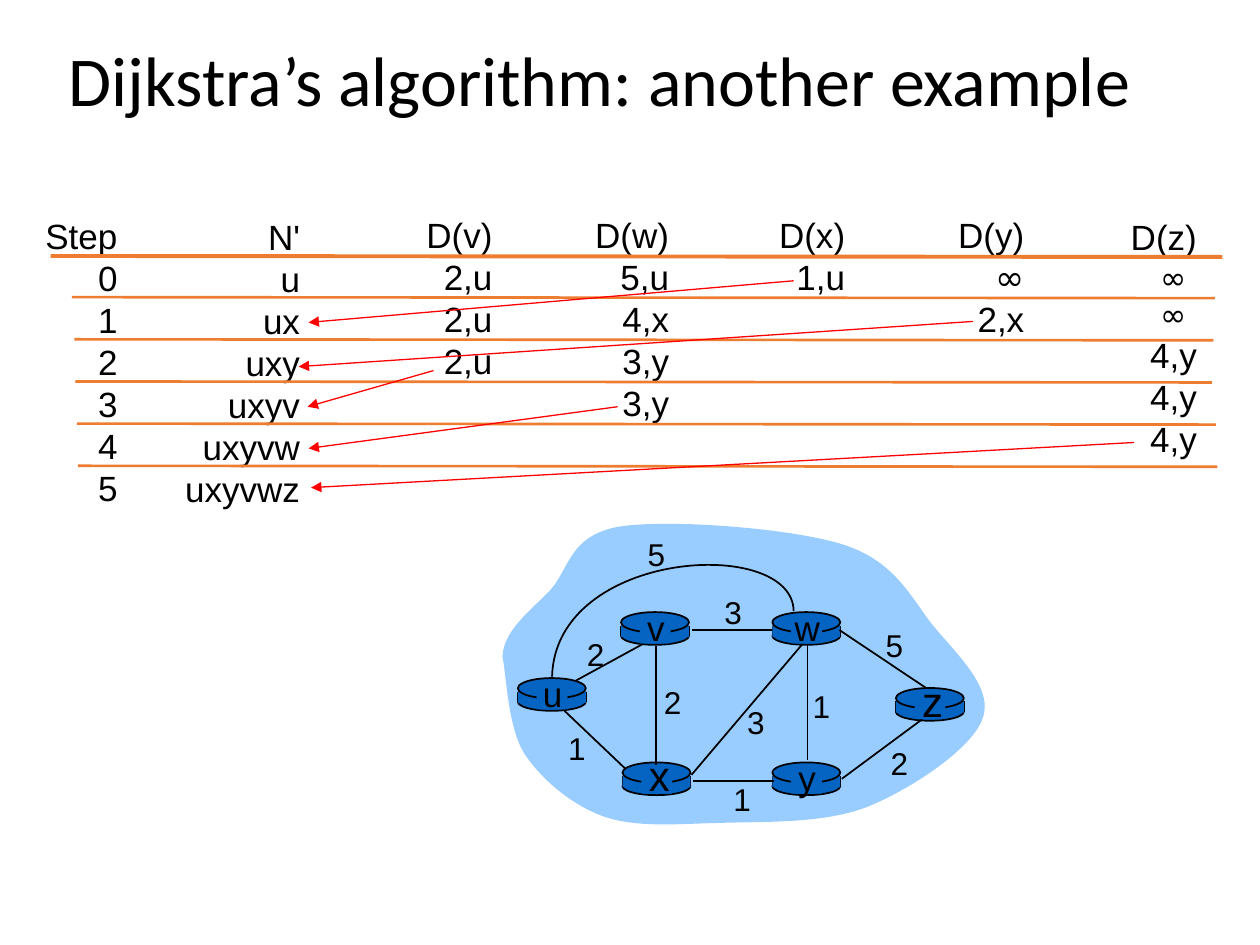
from typing import NamedTuple

from lxml import etree
from pptx import Presentation, util as u
from pptx.dml.color import RGBColor
from pptx.enum import shapes as es, text as et
from pptx.oxml import ns

HUES = {"ink": "000000", "rule": "ED7D31", "arrow": "FF0000",
        "cloud": "99CCFF", "node": "0563C1"}
RIGHT, MID = et.PP_ALIGN.RIGHT, et.PP_ALIGN.CENTER
RECT, OVAL = es.MSO_SHAPE.RECTANGLE, es.MSO_SHAPE.OVAL


class Run(NamedTuple):
    text: str
    size: float = 20
    font: str = "Arial"


class Column(NamedTuple):
    left: float
    top: float
    width: float
    cells: list[Run]


class Line(NamedTuple):
    x1: float
    y1: float
    x2: float
    y2: float


class Node(NamedTuple):
    name: str
    x: float
    y: float
    size: float = 20


class Cost(NamedTuple):
    text: str
    x: float
    y: float


def runs(words: str) -> list[Run]:
    return [Run(word) for word in words.split()]


FAR = Run("∞", 20, "Comic Neue")
FAR_Z = Run("∞ ", 18, "Comic Neue")
COLUMNS = [
    Column(0.66, 4.19, 1.96, runs("Step 0 1 2 3 4 5")),
    Column(3.48, 4.22, 2.82, runs("N' u ux uxy uxyv uxyvw uxyvwz")),
    Column(8.33, 4.17, 1.85, runs("D(v) 2,u 2,u 2,u")),
    Column(11.73, 4.17, 2.01, runs("D(w) 5,u 4,x 3,y 3,y")),
    Column(15.44, 4.17, 1.85, runs("D(x) 1,u")),
    Column(19.05, 4.17, 1.85, [Run("D(y)"), FAR, Run("2,x")]),
    Column(22.53, 4.22, 1.85,
           [Run("D(z)"), FAR_Z, FAR_Z] + runs("4,y 4,y 4,y")),
]
ROW = 0.85
HEAD = Line(1.02, 5.16, 24.64, 5.18)
SPANS = [(1.45, 24.49), (1.5, 24.46), (1.52, 24.43), (1.55, 24.51), (1.57, 24.54)]
ARROWS = [
    Line(16, 5.66, 6.22, 6.5),
    Line(19.61, 6.48, 6.02, 7.39),
    Line(8.74, 7.47, 6.2, 8.2),
    Line(12.45, 8.2, 6.22, 9.04),
    Line(22.86, 8.92, 6.27, 9.83),
]
NODES = [
    Node("u", 10.44, 13.67), Node("x", 12.55, 15.37, 24),
    Node("v", 12.52, 12.34), Node("w", 15.57, 12.34),
    Node("y", 15.57, 15.37), Node("z", 18.06, 13.87, 24),
]
EDGES = [
    Line(11.61, 13.72, 13.11, 12.9), Line(16.28, 13, 16.28, 15.32),
    Line(13.23, 13.03, 13.23, 15.42), Line(13.94, 15.62, 16.18, 12.98),
    Line(16.97, 15.7, 18.59, 14.5), Line(15.6, 15.75, 13.97, 15.75),
    Line(12.6, 15.49, 11.38, 14.33), Line(15.57, 12.7, 13.94, 12.7),
    Line(18.67, 13.87, 16.92, 12.7),
]
COSTS = [
    Cost("2", 11.58, 12.67), Cost("2", 13.13, 13.64), Cost("1", 11.2, 14.58),
    Cost("3", 14.81, 14.05), Cost("1", 14.53, 15.6), Cost("1", 16.13, 13.72),
    Cost("2", 17.7, 14.88), Cost("5", 17.6, 12.5), Cost("3", 14.35, 11.84),
    Cost("5", 12.8, 10.67),
]
CLOUD = [
    (10.13, 13.23),
    (10.16, 12.7), (10.69, 12.32), (11.1, 11.89),
    (11.48, 11.46), (11.48, 10.8), (12.47, 10.62),
    (13.44, 10.46), (15.9, 10.64), (16.97, 10.97),
    (18.03, 11.3), (18.34, 12.01), (18.8, 12.6),
    (19.28, 13.18), (20.04, 13.87), (19.81, 14.48),
    (19.61, 15.09), (18.34, 15.93), (17.45, 16.28),
    (16.56, 16.61), (15.39, 16.56), (14.5, 16.59),
    (13.64, 16.61), (12.83, 16.69), (12.17, 16.46),
    (11.53, 16.23), (10.92, 15.72), (10.57, 15.19),
    (10.24, 14.66), (10.21, 13.64), (10.13, 13.23),
]
ARC = [(16, 12.32), (15.98, 10.8), (11.2, 11.07), (11.13, 13.64)]


def tint(name: str) -> RGBColor:
    return RGBColor.from_string(HUES[name])


def paint(shape, fill: str | None, line: str | None) -> None:
    shape.shadow.inherit = False
    if fill:
        shape.fill.solid()
        shape.fill.fore_color.rgb = tint(fill)
    else:
        shape.fill.background()
    if line:
        shape.line.color.rgb = tint(line)
        shape.line.width = u.Pt(1)
    else:
        shape.line.fill.background()


def block(shapes, x: float, y: float, w: float, h: float,
          cells: list[Run], align, wrap: bool = False):
    """Add a text box with one paragraph per run."""
    box = shapes.add_textbox(u.Cm(x), u.Cm(y), u.Cm(w), u.Cm(h))
    frame = box.text_frame
    frame.word_wrap = wrap
    for i, cell in enumerate(cells):
        para = frame.add_paragraph() if i else frame.paragraphs[0]
        para.alignment = align
        run = para.add_run()
        run.text = cell.text
        run.font.size = u.Pt(cell.size)
        run.font.name = cell.font
        run.font.color.rgb = tint("ink")
    return frame


def stroke(shapes, line: Line, hue: str, width: float, arrow: bool = False) -> None:
    link = shapes.add_connector(es.MSO_CONNECTOR.STRAIGHT, *map(u.Cm, line))
    link.line.color.rgb = tint(hue)
    link.line.width = u.Pt(width)
    if arrow:
        etree.SubElement(link.line._get_or_add_ln(), ns.qn("a:tailEnd"), type="triangle")
    etree.SubElement(link._element.spPr, ns.qn("a:effectLst"))


def curve(shapes, points: list[tuple[float, float]], close: bool,
          fill: str | None, line: str | None) -> None:
    """Add a Bezier outline: a start, then two handles and an end per segment."""
    start, *rest = [(u.Cm(x), u.Cm(y)) for x, y in points]
    pen = shapes.build_freeform(*start)
    pen.add_line_segments(rest, close=close)
    shape = pen.convert_to_shape()
    legs = list(shape._element.iter(ns.qn("a:lnTo")))
    for i in range(0, len(rest), 3):
        bend = etree.Element(ns.qn("a:cubicBezTo"))
        legs[i].addprevious(bend)
        for leg in legs[i:i + 3]:
            bend.append(leg[0])
            leg.getparent().remove(leg)
    paint(shape, fill, line)


def form(shapes, kind, x: float, y: float, w: float, h: float,
         line: str | None = None) -> None:
    shape = shapes.add_shape(kind, u.Cm(x), u.Cm(y), u.Cm(w), u.Cm(h))
    paint(shape, "node", line)


def router(shapes, node: Node) -> None:
    x, y, wide = node.x, node.y, 1.37
    form(shapes, OVAL, x, y + 0.3, wide, 0.36, "ink")
    for side in (x, x + wide):
        stroke(shapes, Line(side, y + 0.27, side, y + 0.49), "ink", 1)
    form(shapes, RECT, x, y + 0.27, wide, 0.23)
    form(shapes, OVAL, x, y, wide, 0.41, "ink")


def label(shapes, node: Node) -> None:
    form(shapes, RECT, node.x + 0.38, node.y + 0.05, 0.62, 0.58)
    big = node.size > 20
    dx, dy, tall = (0.24, -0.38, 1.27) if big else (0.2, -0.24, 1.09)
    block(shapes, node.x + dx, node.y + dy, 1, tall, [Run(node.name, node.size)], MID)


def graph(shapes) -> None:
    curve(shapes, CLOUD, True, "cloud", None)
    stroke(shapes, EDGES[0], "ink", 1)
    for node in NODES:
        router(shapes, node)
    for edge in EDGES[1:]:
        stroke(shapes, edge, "ink", 1)
    curve(shapes, ARC, False, None, "ink")
    for node in NODES:
        label(shapes, node)
    for cost in COSTS:
        block(shapes, cost.x, cost.y, 0.86, 1.02, [Run(cost.text, 18)], MID)


def main() -> None:
    deck = Presentation()
    deck.slide_width, deck.slide_height = u.Cm(25.4), u.Cm(19.05)
    shapes = deck.slides.add_slide(deck.slide_layouts[6]).shapes
    title = Run("Dijkstra’s algorithm: another example", 40, "Calibri")
    frame = block(shapes, 1.14, 0.36, 23.24, 2.67, [title], et.PP_ALIGN.LEFT, True)
    frame.vertical_anchor = et.MSO_ANCHOR.MIDDLE
    frame.paragraphs[0].line_spacing = 0.9
    for col in COLUMNS:
        tall = ROW * len(col.cells) + 0.25
        block(shapes, col.left, col.top, col.width, tall, col.cells, RIGHT)
    stroke(shapes, HEAD, "rule", 2.25)
    for i, (left, right) in enumerate(SPANS):
        y = 5.99 + ROW * i
        stroke(shapes, Line(left, y, right, y + 0.02), "rule", 1.5)
    graph(shapes.add_group_shape().shapes)
    for line in ARROWS:
        stroke(shapes, line, "arrow", 0.75, True)
    deck.save("out.pptx")


if __name__ == "__main__":
    main()
